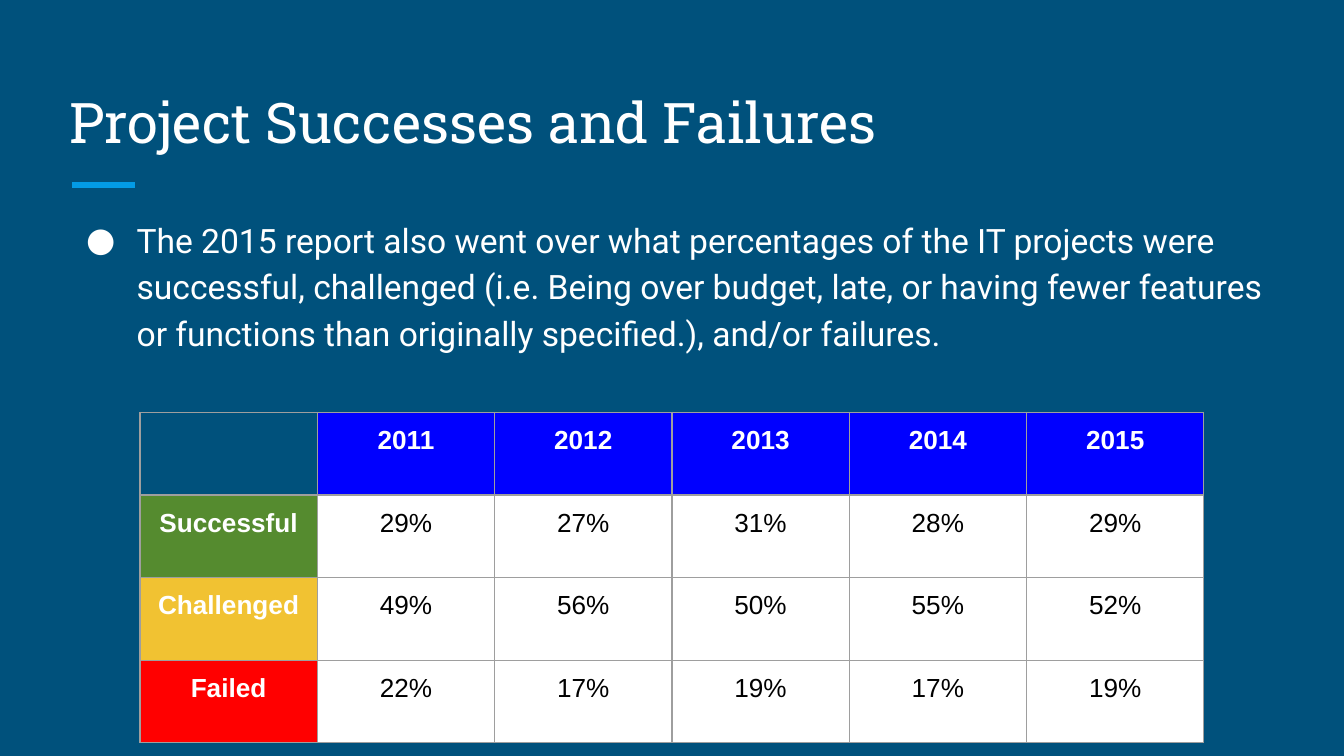
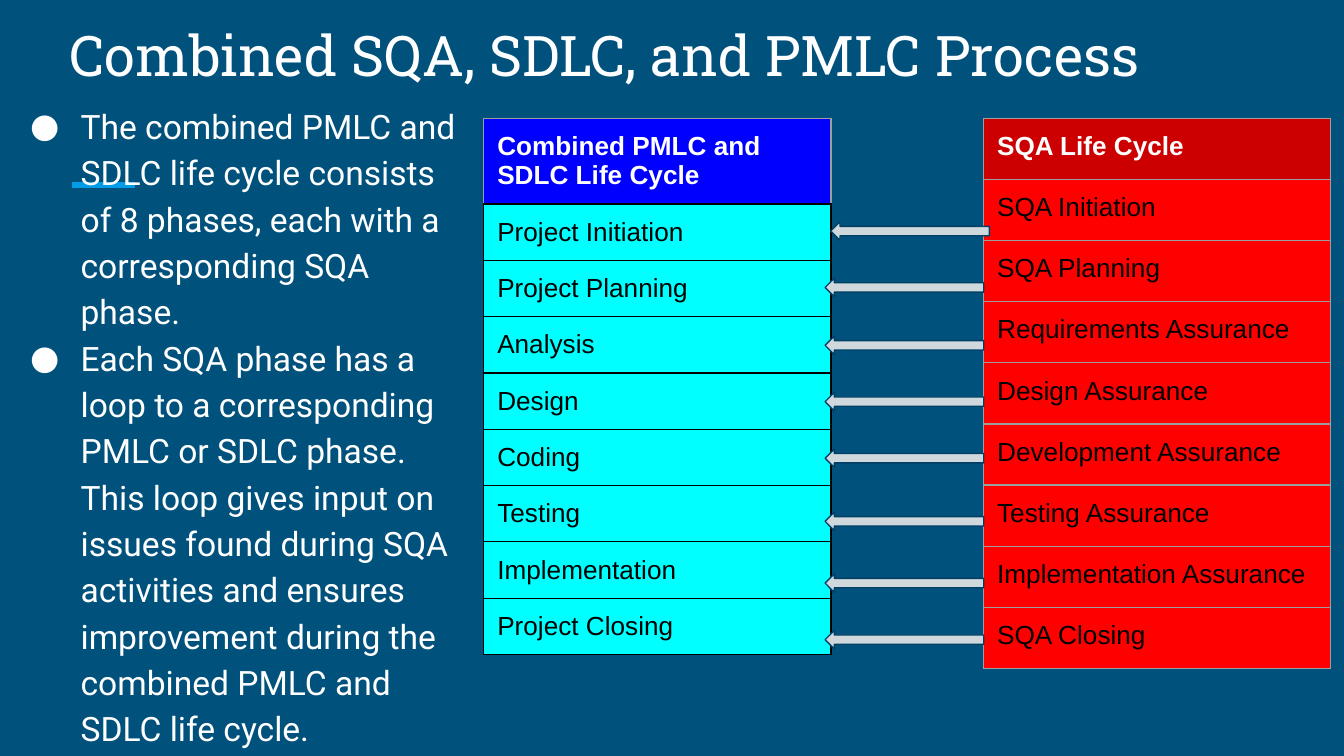
from lxml import etree
from pptx import Presentation
from pptx.dml.color import RGBColor
from pptx.enum.shapes import MSO_CONNECTOR, MSO_SHAPE
from pptx.enum.text import MSO_ANCHOR, MSO_AUTO_SIZE, PP_ALIGN
from pptx.oxml import parse_xml
from pptx.oxml.ns import nsdecls, qn
from pptx.util import Pt

LEFT, CENTER = PP_ALIGN.LEFT, PP_ALIGN.CENTER
TOP, BOTTOM = MSO_ANCHOR.TOP, MSO_ANCHOR.BOTTOM
NO_AUTOFIT = MSO_AUTO_SIZE.NONE
STRAIGHT = MSO_CONNECTOR.STRAIGHT
LEFT_ARROW = MSO_SHAPE.LEFT_ARROW

NAVY = RGBColor(0x00, 0x51, 0x7C)
SKY = RGBColor(0x03, 0x9B, 0xE5)
WHITE = RGBColor(0xFF, 0xFF, 0xFF)
BLACK = RGBColor(0x00, 0x00, 0x00)
GREY = RGBColor(0x9E, 0x9E, 0x9E)
BLUE = RGBColor(0x00, 0x00, 0xFF)
GREEN = RGBColor(0x55, 0x8B, 0x2F)
AMBER = RGBColor(0xF1, 0xC2, 0x32)
RED = RGBColor(0xFF, 0x00, 0x00)
DARK_RED = RGBColor(0xCC, 0x00, 0x00)
CYAN = RGBColor(0x00, 0xFF, 0xFF)
PALE = RGBColor(0xCF, 0xD8, 0xDC)
DEEP_NAVY = RGBColor(0x00, 0x40, 0x65)

INSET = Pt(7.2)


def format_text(frame, font_name, size, color, align=LEFT, bold=False):
    for paragraph in frame.paragraphs:
        paragraph.alignment = align
        for run in paragraph.runs:
            run.font.name = font_name
            run.font.size = Pt(size)
            run.font.bold = bold
            run.font.color.rgb = color


def fill_cell(cell, text, fill, color, bold, align, borders):
    """Set text, fill and the left, right, top and bottom border colours."""
    cell.text_frame.text = text
    format_text(cell.text_frame, "Arial", 14, color, align, bold)
    cell.margin_left = cell.margin_right = INSET
    cell.margin_top = cell.margin_bottom = INSET
    cell.fill.solid()
    cell.fill.fore_color.rgb = fill
    properties = cell._tc.get_or_add_tcPr()
    for index, (side, border) in enumerate(zip("LRTB", borders)):
        properties.insert(index, parse_xml(
            f'<a:ln{side} {nsdecls("a")} w="{Pt(0.75)}"><a:solidFill>'
            f'<a:srgbClr val="{border}"/></a:solidFill></a:ln{side}>'))


prs = Presentation()
prs.slide_width, prs.slide_height = Pt(720), Pt(405)
background = prs.slide_master.background.fill
background.solid()
background.fore_color.rgb = NAVY
layout = prs.slide_layouts[1]

# Titles and bullet lists
contents = [
    ("Project Successes and Failures", 36, (30, 107.3, 659, 114), [
        "The 2015 report also went over what percentages of the IT projects were "
        "successful, challenged (i.e. Being over budget, late, or having fewer "
        "features or functions than originally specified.), and/or failures."]),
    ("Combined SQA, SDLC, and PMLC Process", 0, (0, 46.2, 253.5, 354), [
        "The combined PMLC and SDLC life cycle consists of 8 phases, each with a "
        "corresponding SQA phase.",
        "Each SQA phase has a loop to a corresponding PMLC or SDLC phase. This "
        "loop gives input on issues found during SQA activities and ensures "
        "improvement during the combined PMLC and SDLC life cycle."]),
]
for heading, heading_top, body_box, points in contents:
    slide = prs.slides.add_slide(layout)
    title, body = slide.shapes.title, slide.placeholders[1]
    title.text_frame.text = heading
    body.text_frame.text = "\n".join(points)
    for holder, box, anchor in ((title, (30, heading_top, 659, 54), BOTTOM),
                                (body, body_box, TOP)):
        holder.left, holder.top, holder.width, holder.height = map(Pt, box)
        frame = holder.text_frame
        frame.word_wrap = True
        frame.auto_size = NO_AUTOFIT
        frame.vertical_anchor = anchor
        frame.margin_left = frame.margin_right = INSET
        frame.margin_top = frame.margin_bottom = INSET
    for paragraph in body.text_frame.paragraphs:
        paragraph.line_spacing = 1.15
        paragraph.space_before = Pt(0)
        indents = paragraph._p.get_or_add_pPr()
        indents.set("marL", str(Pt(36)))
        indents.set("indent", str(Pt(-27)))
        color = etree.SubElement(indents, qn("a:buClr"))
        etree.SubElement(color, qn("a:srgbClr"), val=str(WHITE))
        etree.SubElement(indents, qn("a:buFont"), typeface="Roboto")
        etree.SubElement(indents, qn("a:buChar"), char="●")
    format_text(title.text_frame, "Roboto Slab", 30, WHITE)
    format_text(body.text_frame, "Roboto", 18, WHITE)

results_slide, process_slide = prs.slides

# Accent rule, moved to the layout so that both slides share it
accent = results_slide.shapes.add_connector(
    STRAIGHT, Pt(38.6), Pt(99), Pt(72.3), Pt(99))
accent.line.color.rgb = SKY
accent.line.width = Pt(3)
etree.SubElement(accent.element.spPr, qn("a:effectLst"))
layout.shapes._spTree.insert(2, accent.element)

# Project results by year
results = [
    ("", NAVY, ["2011", "2012", "2013", "2014", "2015"]),
    ("Successful", GREEN, ["29%", "27%", "31%", "28%", "29%"]),
    ("Challenged", AMBER, ["49%", "56%", "50%", "55%", "52%"]),
    ("Failed", RED, ["22%", "17%", "19%", "17%", "19%"]),
]
results_table = results_slide.shapes.add_table(
    4, 6, Pt(75), Pt(221), Pt(570), Pt(177)).table
results_table.first_row = results_table.horz_banding = False
for row, (outcome, outcome_fill, values) in enumerate(results):
    for column, text in enumerate([outcome] + values):
        is_header = row == 0 or column == 0
        fill = outcome_fill if column == 0 else BLUE if row == 0 else WHITE
        fill_cell(results_table.cell(row, column), text, fill,
                  WHITE if is_header else BLACK, is_header, CENTER, [GREY] * 4)

# Life cycles: left, row height, header fill, phase fill, phase border, phases
life_cycles = [
    (259.2, 30, BLUE, CYAN, BLACK, [
        "Combined PMLC and SDLC Life Cycle", "Project Initiation",
        "Project Planning", "Analysis", "Design", "Coding", "Testing",
        "Implementation", "Project Closing"]),
    (527, 32.75, DARK_RED, RED, GREY, [
        "SQA Life Cycle", "SQA Initiation", "SQA Planning",
        "Requirements Assurance", "Design Assurance", "Development Assurance",
        "Testing Assurance", "Implementation Assurance", "SQA Closing"]),
]
for left, row_height, header_fill, phase_fill, border, phases in life_cycles:
    cycle_table = process_slide.shapes.add_table(
        len(phases), 1, Pt(left), Pt(63.4), Pt(186),
        Pt(row_height * len(phases))).table
    cycle_table.first_row = cycle_table.horz_banding = False
    for row, phase in enumerate(phases):
        if row == 0:
            fill_cell(cycle_table.cell(row, 0), phase, header_fill, WHITE, True,
                      LEFT, [GREY, GREY, GREY, border])
        else:
            fill_cell(cycle_table.cell(row, 0), phase, phase_fill, BLACK, False,
                      LEFT, [border] * 4)

# Feedback arrows from each SQA phase
feedback_tops = [118.8, 149, 180, 210.2, 240.5, 274.3, 307.4, 337.7]
for index, top in enumerate(feedback_tops):
    feedback = process_slide.shapes.add_shape(
        LEFT_ARROW, Pt(445 if index == 0 else 442), Pt(top), Pt(85), Pt(10))
    feedback.shadow.inherit = False
    feedback.fill.solid()
    feedback.fill.fore_color.rgb = PALE
    feedback.line.color.rgb = DEEP_NAVY
    feedback.line.width = Pt(0.75)

prs.save("out.pptx")
